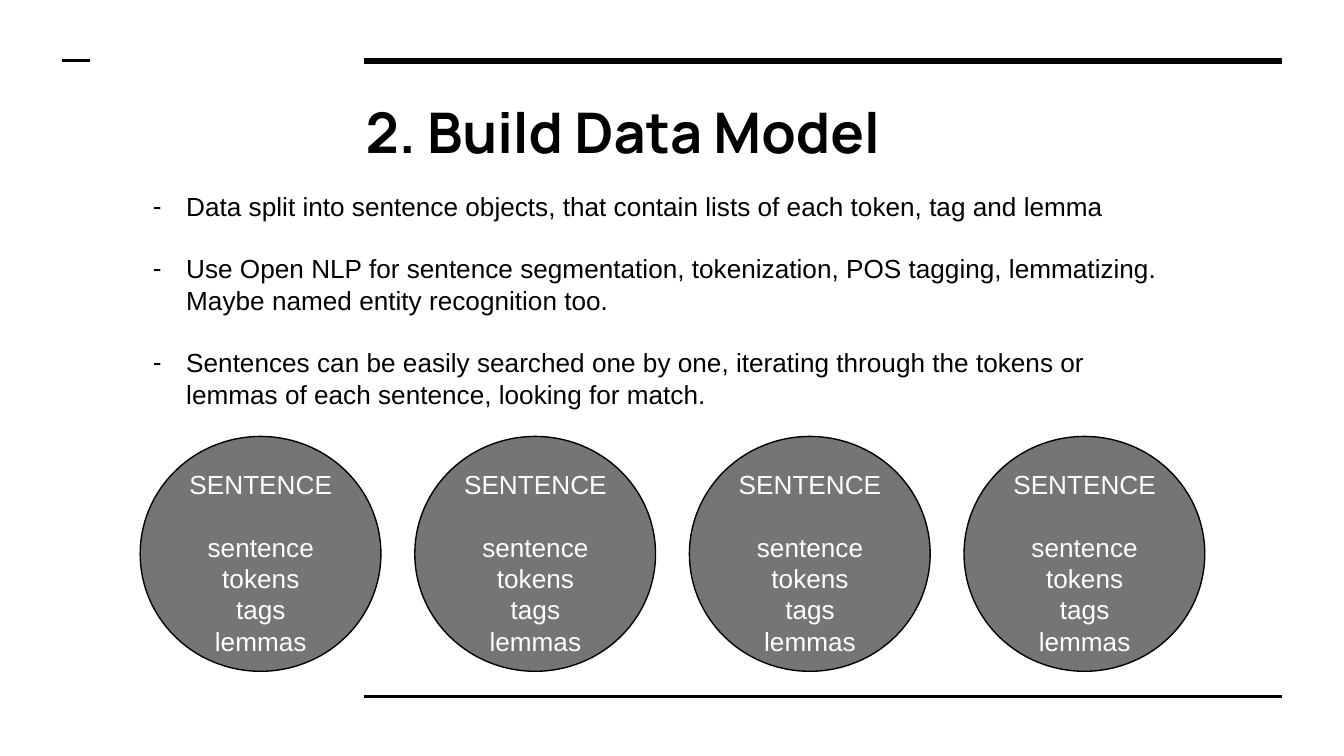
from lxml.etree import SubElement
from pptx import Presentation
from pptx.dml.color import RGBColor
from pptx.enum.shapes import MSO_CONNECTOR as Link, MSO_SHAPE as Shape
from pptx.enum.text import MSO_ANCHOR as Anchor, PP_ALIGN as Align
from pptx.oxml.ns import qn
from pptx.util import Cm, Pt

BLACK = RGBColor(0x00, 0x00, 0x00)
WHITE = RGBColor(0xFF, 0xFF, 0xFF)
GREY = RGBColor(0x75, 0x75, 0x75)

LINE_PITCH = Pt(16.75)
TITLE_FONT = {"name": "Manrope", "size": Pt(30), "bold": True}
BODY_FONT = {"name": "Arial", "size": Pt(14)}

prs = Presentation()
prs.slide_width, prs.slide_height = Cm(25.4), Cm(14.29)
slide = prs.slides.add_slide(prs.slide_layouts[6])


def add_text(left, top, width, height, paragraphs, font, color, **layout):
    """Add a wrapped text box, format its paragraphs and return them."""
    box = slide.shapes.add_textbox(Cm(left), Cm(top), Cm(width), Cm(height))
    frame = box.text_frame
    frame_format = {"word_wrap": True, "vertical_anchor": Anchor.TOP}
    for side in ("left", "top", "right", "bottom"):
        frame_format[f"margin_{side}"] = Cm(0.25)
    for name, value in frame_format.items():
        setattr(frame, name, value)
    frame.text = "\n".join(paragraphs)
    for paragraph in frame.paragraphs:
        for name, value in layout.items():
            setattr(paragraph, name, value)
        for run in paragraph.runs:
            for name, value in font.items():
                setattr(run.font, name, value)
            run.font.color.rgb = color
    return frame.paragraphs


# Frame rules: thick top, thin bottom, short dash at the left
for start, end, height, weight in [
    (6.88, 24.23, 1.15, 3),
    (6.88, 24.23, 13.16, 1.5),
    (1.18, 1.7, 1.15, 1.5),
]:
    rule = slide.shapes.add_connector(
        Link.STRAIGHT, Cm(start), Cm(height), Cm(end), Cm(height))
    rule.line.color.rgb = BLACK
    rule.line.width = Pt(weight)
    SubElement(rule._element.spPr, qn("a:effectLst"))

# Title
add_text(6.66, 1.6, 17.56, 1.75, ["2. Build Data Model"], TITLE_FONT, BLACK)

# Dashed list, with one empty line's height between the points
points = add_text(2, 3.35, 20.37, 2.4, [
    "Data split into sentence objects, that contain lists of each token, tag and lemma",
    "Use Open NLP for sentence segmentation, tokenization, POS tagging, lemmatizing. "
    "Maybe named entity recognition too.",
    "Sentences can be easily searched one by one, iterating through the tokens or "
    "lemmas of each sentence, looking for match.",
], BODY_FONT, BLACK, line_spacing=LINE_PITCH)
for index, point in enumerate(points):
    if index:
        point.space_before = LINE_PITCH
    properties = point._p.get_or_add_pPr()
    properties.set("marL", str(Cm(1.27)))
    properties.set("indent", str(-Cm(0.63)))
    SubElement(properties, qn("a:buFont"), typeface="Arial")
    SubElement(properties, qn("a:buChar"), char="-")

# Four sentence objects in a row
for column in range(4):
    left = 2.65 + column * 5.19
    circle = slide.shapes.add_shape(
        Shape.OVAL, Cm(left), Cm(8.25), Cm(4.55), Cm(4.44))
    circle.shadow.inherit = False
    circle.fill.solid()
    circle.fill.fore_color.rgb = GREY
    circle.line.color.rgb = BLACK
    circle.line.width = Pt(0.75)

    fields = add_text(
        left + 0.5, 8.61, 3.56, 2.24,
        ["SENTENCE", "sentence", "tokens", "tags", "lemmas"],
        BODY_FONT, WHITE, alignment=Align.CENTER, line_spacing=LINE_PITCH)
    fields[1].space_before = LINE_PITCH

prs.save("out.pptx")
